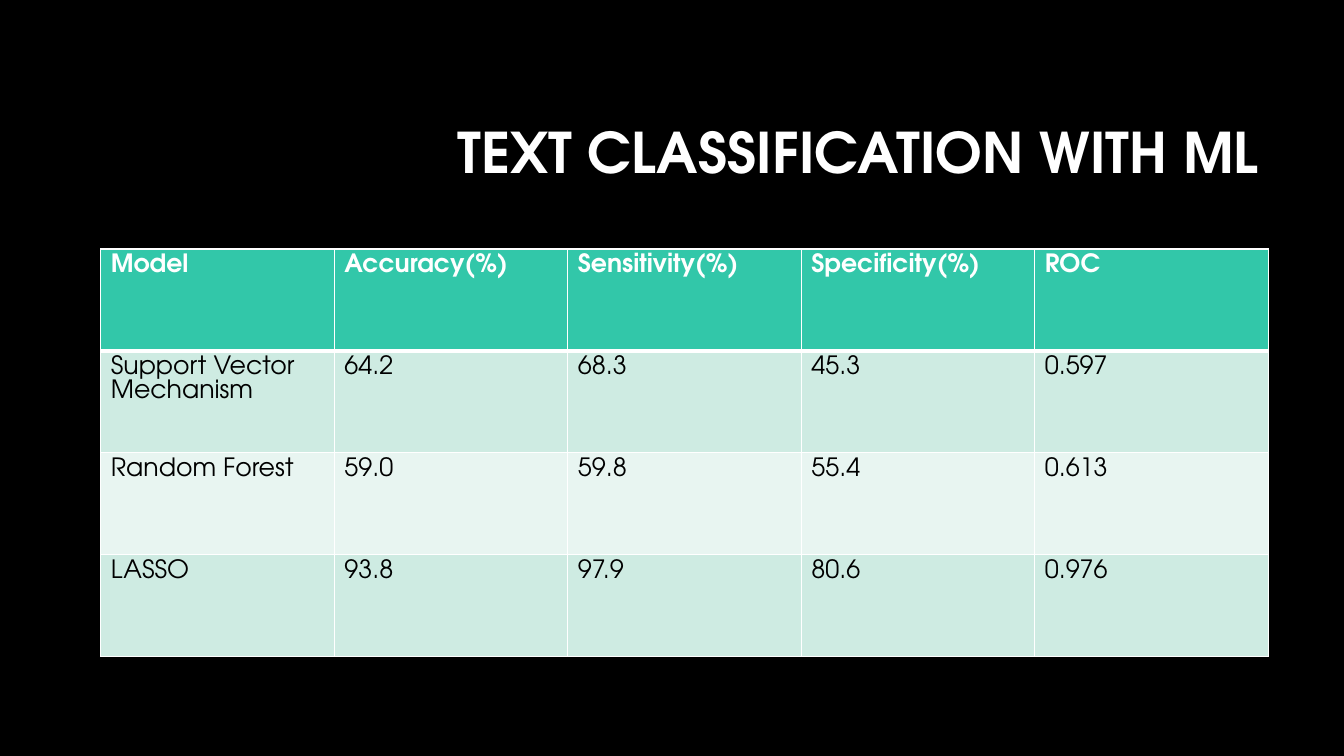
from dataclasses import dataclass
from lxml.etree import SubElement
from pptx import Presentation
from pptx.dml.color import RGBColor as RGB
from pptx.enum.text import MSO_ANCHOR as Anchor, PP_ALIGN as Align
from pptx.oxml.ns import qn
from pptx.util import Inches, Pt


@dataclass(frozen=True)
class Theme:
    font: str = "TeX Gyre Adventor"
    black: str = "000000"
    white: str = "FFFFFF"
    header: str = "32C7A9"
    bands: tuple = ("CEEBE2", "E8F5F1")
    title_size: int = 40
    table_size: int = 18


theme = Theme()


def add_text(paragraph, text, size, color, bold):
    run = paragraph.add_run()
    run.text = text
    run.font.name = theme.font
    run.font.size = Pt(size)
    run.font.bold = bold
    run.font.color.rgb = RGB.from_string(color)


def set_border(cell, side, width):
    line = SubElement(cell._tc.get_or_add_tcPr(), qn(f"a:{side}"), w=str(Pt(width)))
    fill = SubElement(line, qn("a:solidFill"))
    SubElement(fill, qn("a:srgbClr"), val=theme.white)


deck = Presentation()
deck.slide_width, deck.slide_height = Inches(13.33), Inches(7.5)
slide = deck.slides.add_slide(deck.slide_layouts[5])
slide.background.fill.solid()
slide.background.fill.fore_color.rgb = RGB.from_string(theme.black)

heading = slide.shapes.title
heading.left, heading.top = Inches(0.88), Inches(0.84)
heading.width, heading.height = Inches(11.7), Inches(1.41)
heading.text_frame.vertical_anchor = Anchor.MIDDLE
heading_line = heading.text_frame.paragraphs[0]
heading_line.alignment = Align.RIGHT
heading_line.line_spacing = 0.9
add_text(heading_line, "TEXT CLASSIFICATION WITH ML", theme.title_size, theme.white, True)

scores = [
    ("Model", "Accuracy(%)", "Sensitivity(%)", "Specificity(%)", "ROC"),
    ("Support Vector Mechanism", "64.2", "68.3", "45.3", "0.597"),
    ("Random Forest", "59.0", "59.8", "55.4", "0.613"),
    ("LASSO", "93.8", "97.9", "80.6", "0.976"),
]
score_table = slide.shapes.add_table(
    len(scores), len(scores[0]), Inches(1), Inches(2.47), Inches(11.58), Inches(4.04)
).table

for row, model_scores in enumerate(scores):
    is_header = row == 0
    band = theme.header if is_header else theme.bands[(row - 1) % 2]
    ink = theme.white if is_header else theme.black
    for column, score in enumerate(model_scores):
        cell = score_table.cell(row, column)
        add_text(cell.text_frame.paragraphs[0], score, theme.table_size, ink, is_header)
        for side in ("lnL", "lnR", "lnT", "lnB"):
            below_header = (row, side) in ((0, "lnB"), (1, "lnT"))
            set_border(cell, side, 3 if below_header else 1)
        cell.fill.solid()
        cell.fill.fore_color.rgb = RGB.from_string(band)

deck.save("out.pptx")
